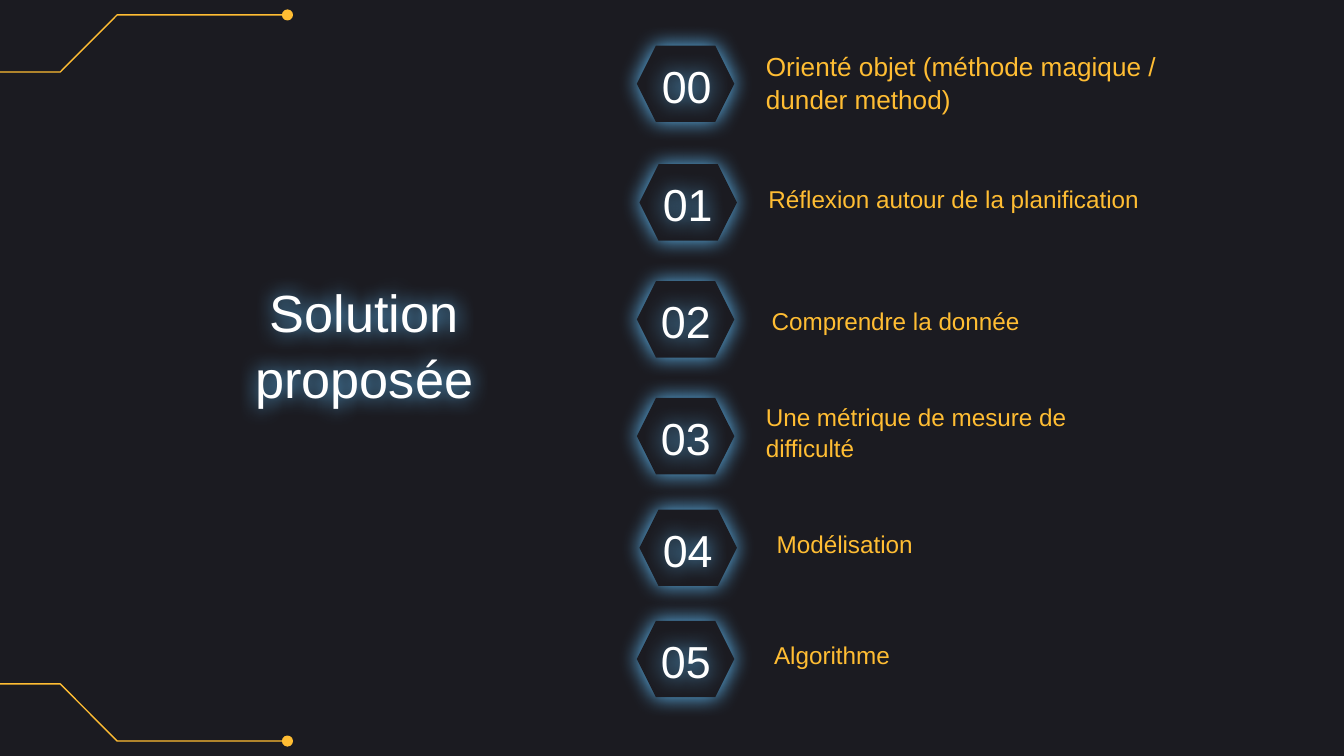
"""Build the "Solution proposée" agenda slide with six numbered steps."""
from dataclasses import dataclass

from lxml.etree import SubElement
from pptx import Presentation
from pptx.dml.color import RGBColor
from pptx.enum.shapes import MSO_SHAPE
from pptx.enum.text import MSO_ANCHOR, PP_ALIGN
from pptx.oxml.ns import qn
from pptx.shapes.autoshape import Shape
from pptx.slide import Slide
from pptx.util import Pt


@dataclass(frozen=True)
class Theme:
    background: RGBColor = RGBColor(0x1B, 0x1B, 0x21)
    accent: RGBColor = RGBColor(0xFF, 0xBD, 0x33)
    light: RGBColor = RGBColor(0xFF, 0xFF, 0xFF)
    glow: str = "60BBF5"
    glow_blur: float = 11.2
    font: str = "Arial"
    title_size: float = 28
    number_size: float = 24
    label_size: float = 13
    first_label_size: float = 14
    line_width: float = 0.75
    line_spacing: float = 1.05


@dataclass(frozen=True)
class Box:
    left: float
    top: float
    width: float
    height: float

    def lengths(self) -> tuple[Pt, Pt, Pt, Pt]:
        return Pt(self.left), Pt(self.top), Pt(self.width), Pt(self.height)


@dataclass(frozen=True)
class Step:
    label: str
    top: float
    hexagon_left: float
    number_left: float
    label_left: float
    label_top: float
    label_width: float = 224.64
    label_size: float = 13


THEME = Theme()
SLIDE_WIDTH, SLIDE_HEIGHT = 720, 405
TRACE = [(-10, 38.6), (32.3, 38.6), (62.8, 8), (154, 8)]
DOT_SIZE = 5.2
STEPS = [
    Step("Orienté objet (méthode magique / dunder method)", 24.4, 341.2, 344.5, 403.2, 33.2,
         245.52, THEME.first_label_size),
    Step("Réflexion autour de la planification", 88, 342.6, 345, 404.6, 95.3),
    Step("Comprendre la donnée", 150.7, 341.2, 344, 406.3, 160.6),
    Step("Une métrique de mesure de difficulté", 213.2, 341.2, 344, 403.2, 220.3),
    Step("Modélisation", 273, 342.6, 345, 409, 280.1),
    Step("Algorithme", 332.6, 341.2, 344, 407.6, 339.9),
]


def add_glow(shape: Shape) -> None:
    """Give a shape a soft coloured shadow with no offset."""
    shape.shadow.inherit = False
    effects = shape._element.spPr.find(qn("a:effectLst"))
    shadow = SubElement(effects, qn("a:outerShdw"), blurRad=str(Pt(THEME.glow_blur)),
                        dist="0", dir="0", algn="bl", rotWithShape="0")
    SubElement(shadow, qn("a:srgbClr"), val=THEME.glow)


def add_text(slide: Slide, box: Box, text: str, size: float, color: RGBColor,
             alignment: PP_ALIGN) -> Shape:
    """Add a vertically centred text box."""
    shape = slide.shapes.add_textbox(*box.lengths())
    frame = shape.text_frame
    frame.word_wrap = True
    frame.vertical_anchor = MSO_ANCHOR.MIDDLE
    frame.margin_left = frame.margin_right = Pt(7.2)
    frame.margin_top = frame.margin_bottom = Pt(7.2)
    paragraph = frame.paragraphs[0]
    paragraph.alignment = alignment
    paragraph.line_spacing = THEME.line_spacing
    run = paragraph.add_run()
    run.text = text
    run.font.name = THEME.font
    run.font.size = Pt(size)
    run.font.color.rgb = color
    return shape


def add_trace(slide: Slide, points: list[tuple[float, float]]) -> None:
    """Draw a circuit trace that ends in a dot."""
    vertices = [(Pt(x), Pt(y)) for x, y in points]
    builder = slide.shapes.build_freeform(*vertices[0])
    builder.add_line_segments(vertices[1:], close=False)
    trace = builder.convert_to_shape()
    trace.fill.background()
    end_x, end_y = points[-1]
    dot_box = Box(end_x - DOT_SIZE / 2, end_y - DOT_SIZE / 2, DOT_SIZE, DOT_SIZE)
    dot = slide.shapes.add_shape(MSO_SHAPE.OVAL, *dot_box.lengths())
    dot.fill.solid()
    dot.fill.fore_color.rgb = THEME.accent
    for shape in (trace, dot):
        shape.shadow.inherit = False
        shape.line.color.rgb = THEME.accent
        shape.line.width = Pt(THEME.line_width)


def add_step(slide: Slide, number: int, step: Step) -> None:
    """Draw a glowing hexagon with its number and label."""
    hexagon_box = Box(step.hexagon_left, step.top, 52.2, 41)
    hexagon = slide.shapes.add_shape(MSO_SHAPE.HEXAGON, *hexagon_box.lengths())
    hexagon.adjustments[0] = 0.25
    hexagon.fill.solid()
    hexagon.fill.fore_color.rgb = THEME.background
    hexagon.line.fill.background()
    add_glow(hexagon)
    number_box = Box(step.number_left, step.top + 4.3, 46.8, 32.4)
    add_glow(add_text(slide, number_box, f"{number:02d}", THEME.number_size,
                      THEME.light, PP_ALIGN.CENTER))
    label_box = Box(step.label_left, step.label_top, step.label_width, 21.6)
    add_text(slide, label_box, step.label, step.label_size, THEME.accent, PP_ALIGN.LEFT)


def main() -> None:
    """Create the presentation and save it."""
    presentation = Presentation()
    presentation.slide_width = Pt(SLIDE_WIDTH)
    presentation.slide_height = Pt(SLIDE_HEIGHT)
    slide = presentation.slides.add_slide(presentation.slide_layouts[6])
    slide.background.fill.solid()
    slide.background.fill.fore_color.rgb = THEME.background
    add_trace(slide, TRACE)
    add_trace(slide, [(x, SLIDE_HEIGHT - y) for x, y in TRACE])
    add_glow(add_text(slide, Box(89.3, 133.2, 211.7, 100.8), "Solution proposée",
                      THEME.title_size, THEME.light, PP_ALIGN.CENTER))
    for number, step in enumerate(STEPS):
        add_step(slide, number, step)
    presentation.save("out.pptx")


if __name__ == "__main__":
    main()
